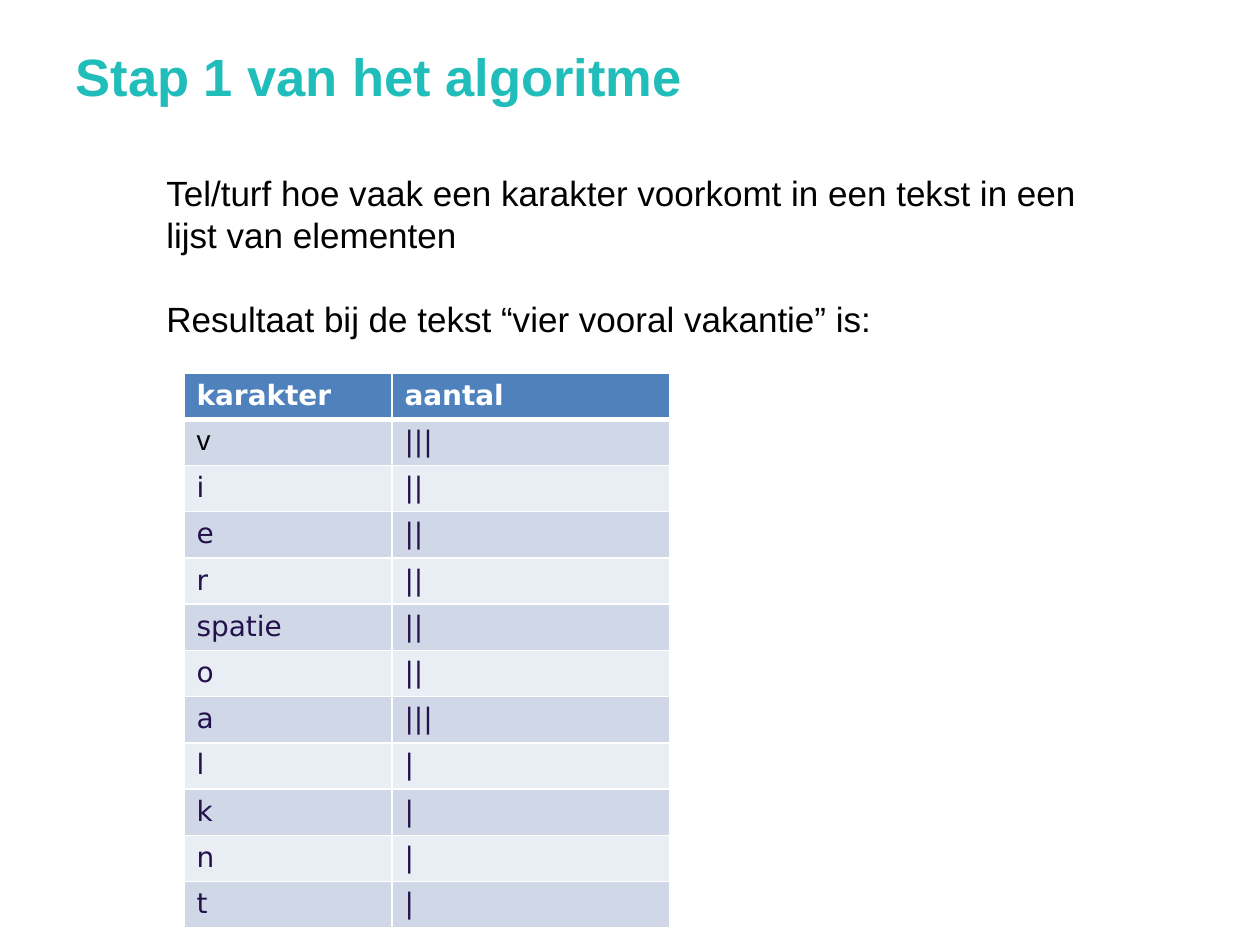
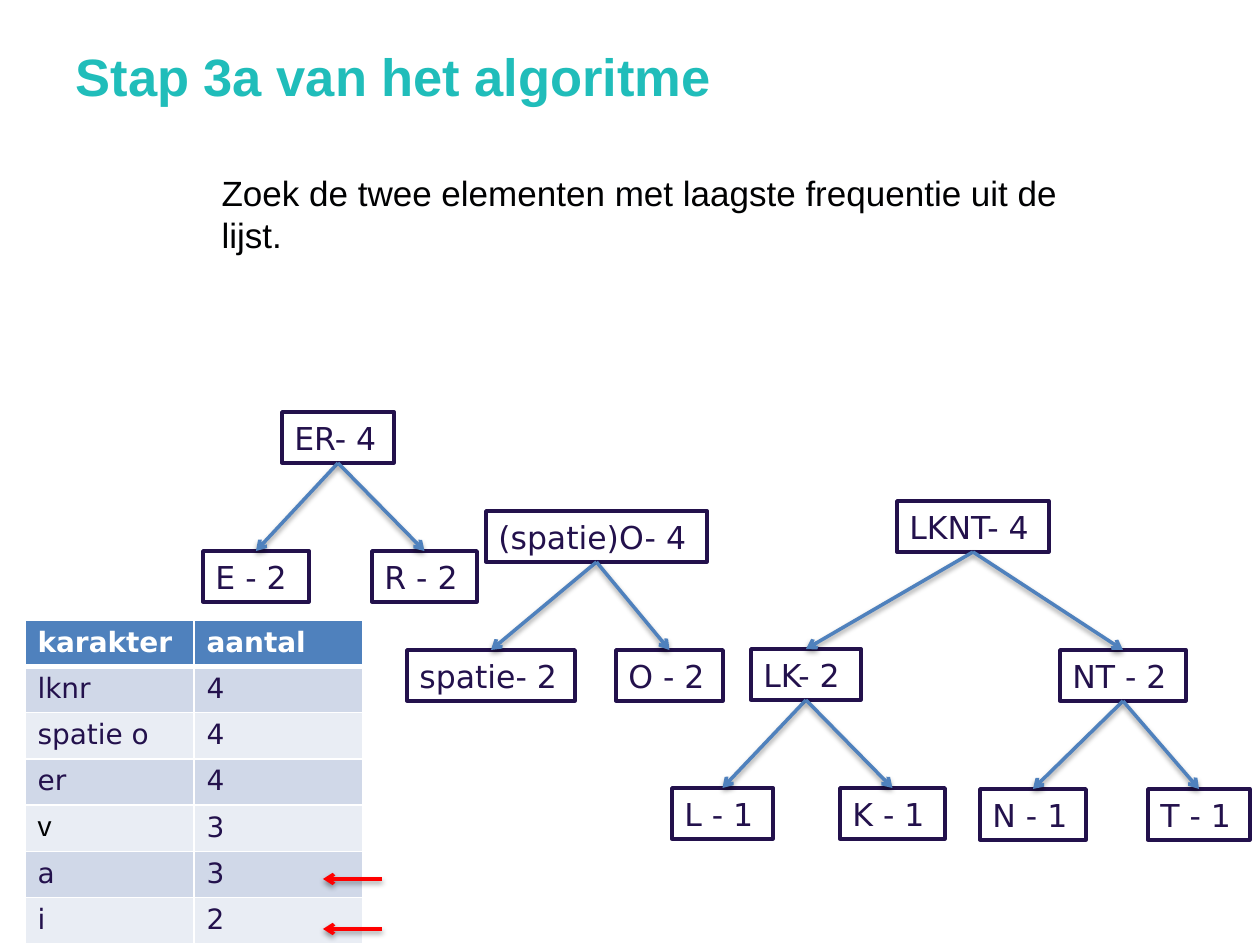
import pptx
import pptx.dml.color
import pptx.enum.shapes
import pptx.enum.text
import pptx.oxml.ns
import pptx.util
from lxml import etree

PX = 914400 / 126
TEAL, BLACK, NAVY, WHITE = "20BDBA", "000102", "23114C", "FFFFFF"
BLUE, RED, BAND_DARK, BAND_LIGHT = "4F81BD", "FF0000", "D0D8E8", "E9EDF4"

TITLE_FORMAT = {"size": 30, "name": "Arial", "bold": True, "color": TEAL}
BODY_FORMAT = {"size": 20, "name": "Arial", "color": BLACK}
NODE_FORMAT = {"size": 18, "name": "DejaVu Sans", "color": NAVY}
CELL_FORMAT = {"size": 16, "name": "DejaVu Sans", "bold": False, "color": NAVY}
HEAD_FORMAT = CELL_FORMAT | {"bold": True, "color": WHITE}
FIRST_LETTER_FORMAT = CELL_FORMAT | {"name": "Arial", "color": BLACK}

TABLE_HEAD = ("karakter", "aantal")
SLIDES = [
    {
        "title": "Stap 1 van het algoritme",
        "body": [
            "Tel/turf hoe vaak een karakter voorkomt in een tekst in een lijst van elementen",
            "Resultaat bij de tekst “vier vooral vakantie” is:",
        ],
        "body_height": 267,
        "body_indent": 0,
        "table_at": (184, 373, 486, 554),
        "columns": (208, 278),
        "rows": [
            ("v", "|||"), ("i", "||"), ("e", "||"), ("r", "||"),
            ("spatie", "||"), ("o", "||"), ("a", "|||"), ("l", "|"),
            ("k", "|"), ("n", "|"), ("t", "|"),
        ],
    },
    {
        "title": "Stap 3a van het algoritme",
        "body": ["Zoek de twee elementen met laagste frequentie uit de lijst."],
        "body_height": 183,
        "body_indent": 55,
        "table_at": (25, 620, 338, 324),
        "columns": (169, 169),
        "rows": [
            ("lknr", "4"), ("spatie o", "4"), ("er", "4"),
            ("v", "3"), ("a", "3"), ("i", "2"),
        ],
    },
]

# Each node: text, left, top, width, children
NODE_HEIGHT = 51
TREES = [
    ("ER- 4", 282, 412, 112, [
        ("E - 2", 203, 551, 106, []),
        ("R - 2", 372, 551, 105, []),
    ]),
    ("(spatie)O- 4", 486, 511, 221, [
        ("spatie- 2", 407, 650, 168, []),
        ("O - 2", 616, 650, 107, []),
    ]),
    ("LKNT- 4", 897, 501, 152, [
        ("LK- 2", 751, 649, 110, [
            ("L - 1", 672, 788, 101, []),
            ("K - 1", 840, 788, 105, []),
        ]),
        ("NT - 2", 1060, 650, 126, [
            ("N - 1", 980, 789, 106, []),
            ("T - 1", 1148, 789, 102, []),
        ]),
    ]),
]
LOWEST_FROM, LOWEST_TO, LOWEST_ROWS = 382, 323, (879, 929)


def px(*lengths):
    return [pptx.util.Emu(round(n * PX)) for n in lengths]


def rgb(color):
    return pptx.dml.color.RGBColor.from_string(color)


def add_xml(parent, tag, **attributes):
    return etree.SubElement(parent, pptx.oxml.ns.qn(tag),
                            {k: str(v) for k, v in attributes.items()})


def write(p, text, fmt):
    r = p.add_run()
    r.text = text
    for key, value in fmt.items():
        if key == "color":
            r.font.color.rgb = rgb(value)
        else:
            setattr(r.font, key, pptx.util.Pt(value) if key == "size" else value)


def add_title(s, text):
    title = s.shapes.title
    title.left, title.top, title.width, title.height = px(63, 38, 1134, 97)
    tf = title.text_frame
    tf.auto_size = pptx.enum.text.MSO_AUTO_SIZE.NONE
    tf.vertical_anchor = pptx.enum.text.MSO_ANCHOR.TOP
    p = tf.paragraphs[0]
    p.alignment = pptx.enum.text.PP_ALIGN.LEFT
    p.line_spacing = pptx.util.Pt(36)
    write(p, text, TITLE_FORMAT)


def add_body(s, paragraphs, height, indent):
    tf = s.shapes.add_textbox(*px(154, 165, 973, height)).text_frame
    tf.word_wrap = True
    tf.margin_left += px(indent)[0]
    for i, text in enumerate(paragraphs):
        p = tf.add_paragraph() if i else tf.paragraphs[0]
        p.line_spacing = pptx.util.Pt(24)
        if i:
            p.space_before = pptx.util.Pt(24)
        write(p, text, BODY_FORMAT)


def fill_cell(cell, text, fmt, fill, borders):
    tcPr = cell._tc.get_or_add_tcPr()
    for side, width in borders.items():
        ln = add_xml(tcPr, f"a:ln{side}", w=pptx.util.Pt(width))
        add_xml(add_xml(ln, "a:solidFill"), "a:srgbClr", val=WHITE)
    cell.fill.solid()
    cell.fill.fore_color.rgb = rgb(fill)
    write(cell.text_frame.paragraphs[0], text, fmt)


def add_count_table(s, at, columns, rows):
    rows = [TABLE_HEAD, *rows]
    table = s.shapes.add_table(len(rows), len(columns), *px(*at)).table
    for column, width in zip(table.columns, px(*columns)):
        column.width = width
    for i, row in enumerate(rows):
        fill = BLUE if i == 0 else BAND_DARK if i % 2 else BAND_LIGHT
        borders = {"L": 1, "R": 1, "T": 3 if i == 1 else 1, "B": 3 if i == 0 else 1}
        for j, text in enumerate(row):
            fmt = HEAD_FORMAT if i == 0 else FIRST_LETTER_FORMAT if text == "v" else CELL_FORMAT
            fill_cell(table.cell(i, j), text, fmt, fill, borders)


def add_arrow(s, color, start=(0, 0), end=(0, 0)):
    line = s.shapes.add_connector(pptx.enum.shapes.MSO_CONNECTOR.STRAIGHT, *px(*start, *end))
    line.line.color.rgb = rgb(color)
    line.line.width = pptx.util.Pt(2)
    add_xml(line.line._get_or_add_ln(), "a:tailEnd", type="arrow")
    effects = add_xml(line._element.spPr, "a:effectLst")
    shadow = add_xml(effects, "a:outerShdw", blurRad=pptx.util.Pt(3.1), dist=pptx.util.Pt(1.6),
                     dir=90 * 60000, rotWithShape=0)
    add_xml(add_xml(shadow, "a:srgbClr", val="000000"), "a:alpha", val=38000)
    return line


def add_tree(s, text, left, top, width, children):
    """Draw a node and its subtrees; return the node's box."""
    box = s.shapes.add_shape(pptx.enum.shapes.MSO_SHAPE.RECTANGLE,
                             *px(left, top, width, NODE_HEIGHT))
    box.shadow.inherit = False
    box.fill.solid()
    box.fill.fore_color.rgb = rgb(WHITE)
    box.line.color.rgb = rgb(NAVY)
    box.line.width = pptx.util.Pt(2)
    tf = box.text_frame
    tf.word_wrap = False
    p = tf.paragraphs[0]
    p.alignment = pptx.enum.text.PP_ALIGN.LEFT
    write(p, text, NODE_FORMAT)
    for child in children:
        child_box = add_tree(s, *child)
        arrow = add_arrow(s, BLUE)
        arrow.begin_connect(box, 2)
        arrow.end_connect(child_box, 0)
    return box


def main():
    prs = pptx.Presentation()
    prs.slide_width, prs.slide_height = px(1260, 945)
    for content in SLIDES:
        s = prs.slides.add_slide(prs.slide_layouts[5])
        add_title(s, content["title"])
        add_body(s, content["body"], content["body_height"], content["body_indent"])
        add_count_table(s, content["table_at"], content["columns"], content["rows"])
    for tree in TREES:
        add_tree(s, *tree)
    for y in LOWEST_ROWS:
        add_arrow(s, RED, (LOWEST_FROM, y), (LOWEST_TO, y))
    prs.save("out.pptx")


if __name__ == "__main__":
    main()
